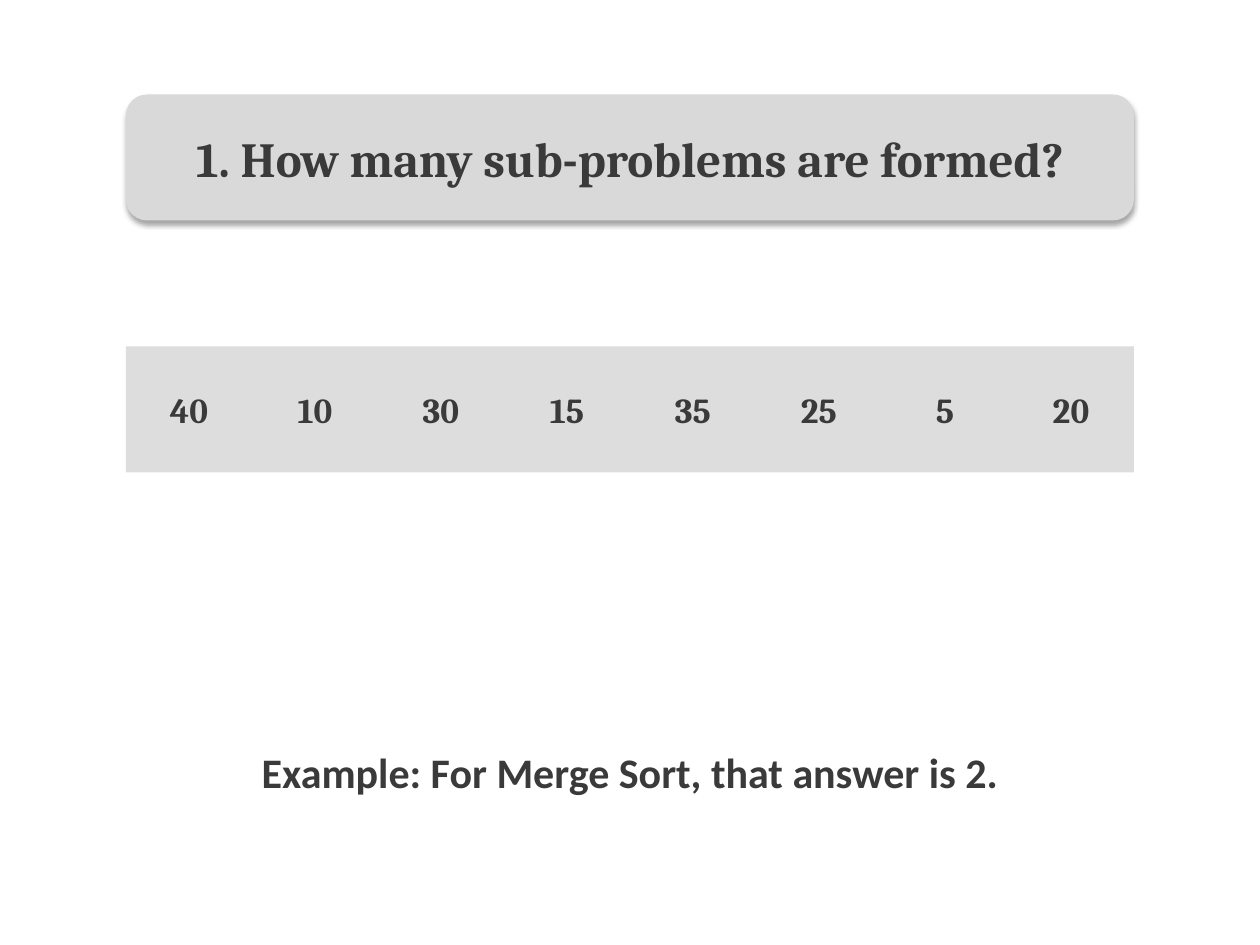
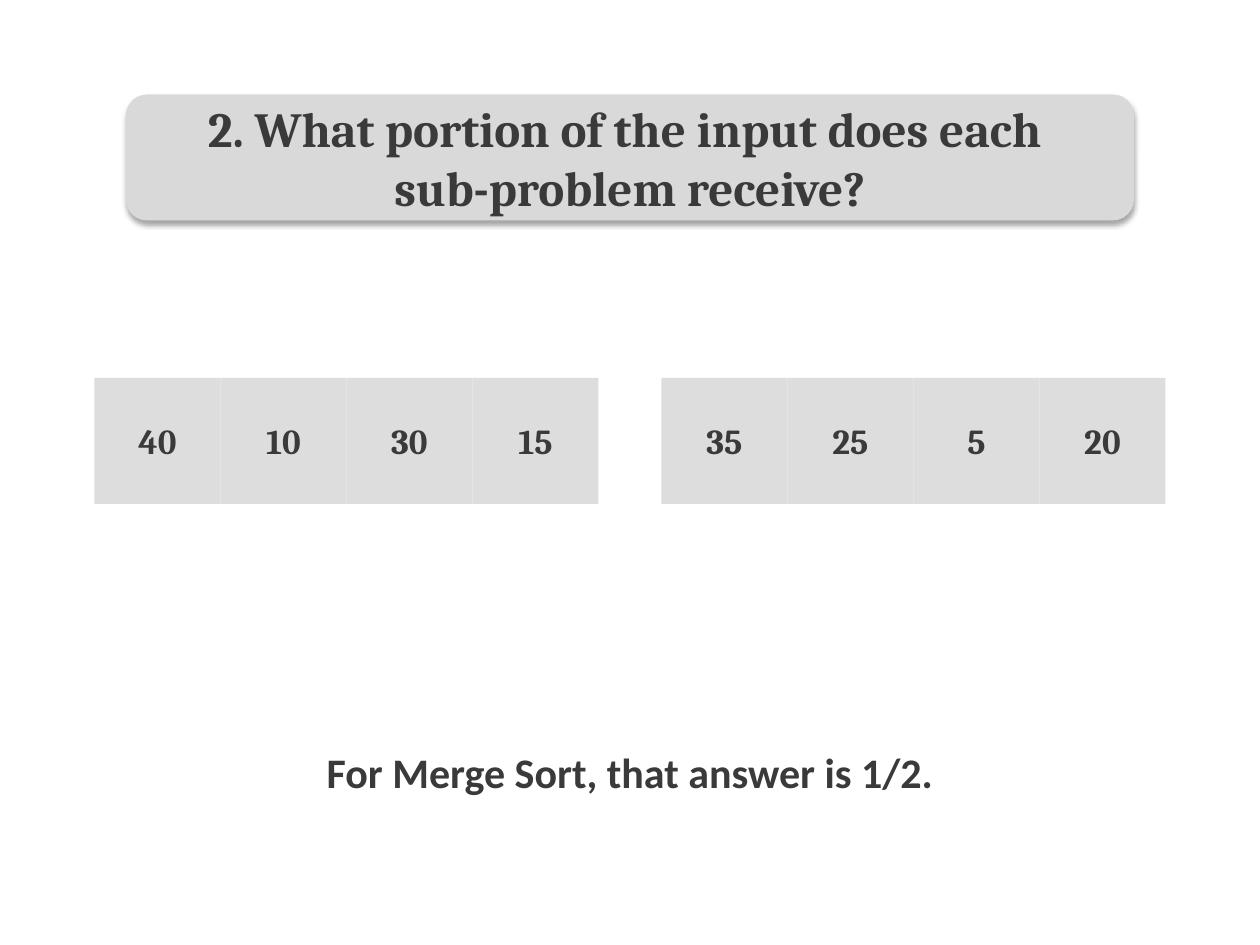
import pptx
import pptx.util
import pptx.dml.color
import pptx.enum.shapes
import pptx.enum.text
import pptx.oxml
import pptx.oxml.ns

Inches = pptx.util.Inches
RGBColor = pptx.dml.color.RGBColor
MSO_SHAPE = pptx.enum.shapes.MSO_SHAPE

INK = RGBColor(0x3A, 0x3A, 0x3A)
BANNER = RGBColor(0xD9, 0xD9, 0xD9)
CELL = RGBColor(0xDD, 0xDD, 0xDD)

SHADOW = (
    '<a:effectLst %s><a:outerShdw blurRad="40000" dist="23000" dir="5400000" rotWithShape="0">'
    '<a:srgbClr val="000000"><a:alpha val="35000"/></a:srgbClr></a:outerShdw></a:effectLst>'
    % pptx.oxml.ns.nsdecls("a")
)


def write(box, text, font, size):
    frame = box.text_frame
    frame.word_wrap = True
    frame.vertical_anchor = pptx.enum.text.MSO_ANCHOR.MIDDLE
    frame.text = text
    for para in frame.paragraphs:
        para.alignment = pptx.enum.text.PP_ALIGN.CENTER
        for span in para.runs:
            span.font.name = font
            span.font.size = pptx.util.Pt(size)
            span.font.bold = True
            span.font.color.rgb = INK


def add_block(page, kind, left, top, width, fill):
    block = page.shapes.add_shape(kind, Inches(left), Inches(top), Inches(width), Inches(1))
    block.fill.solid()
    block.fill.fore_color.rgb = fill
    block.line.fill.background()
    block.shadow.inherit = False
    return block


slides = [
    {
        "question": "1. How many sub-problems are formed?",
        "answer": "Example: For Merge Sort, that answer is 2.",
        "top": 2.75,
        "arrays": [(1, [40, 10, 30, 15, 35, 25, 5, 20])],
    },
    {
        "question": "2. What portion of the input does each \nsub-problem receive?",
        "answer": "For Merge Sort, that answer is 1/2.",
        "top": 3,
        "arrays": [(0.75, [40, 10, 30, 15]), (5.25, [35, 25, 5, 20])],
    },
]

deck = pptx.Presentation()
deck.slide_width = Inches(10)
deck.slide_height = Inches(7.5)

for content in slides:
    page = deck.slides.add_slide(deck.slide_layouts[6])

    banner = add_block(page, MSO_SHAPE.ROUNDED_RECTANGLE, 1, 0.75, 8, BANNER)
    properties = banner.element.spPr
    properties.replace(properties.find(pptx.oxml.ns.qn("a:effectLst")), pptx.oxml.parse_xml(SHADOW))
    write(banner, content["question"], "Cambria", 28)

    answer = page.shapes.add_textbox(Inches(1), Inches(4.75), Inches(8), Inches(2.75))
    write(answer, content["answer"], "Calibri", 24)

    for left, values in content["arrays"]:
        for index, value in enumerate(values):
            cell = add_block(page, MSO_SHAPE.RECTANGLE, left + index, content["top"], 1, CELL)
            write(cell, str(value), "Cambria", 20)

deck.save("out.pptx")
